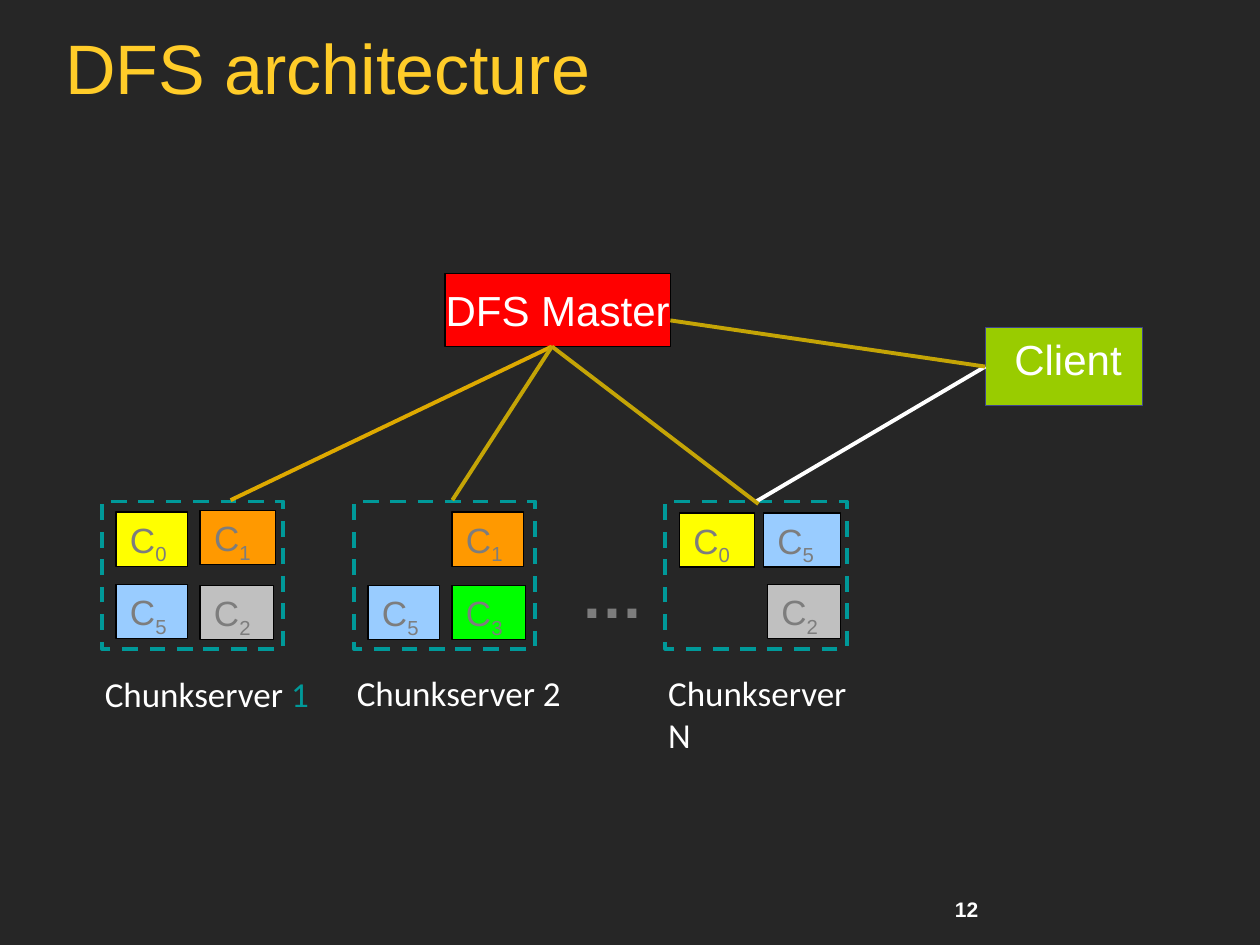
import pptx
import pptx.util
import pptx.dml.color
import pptx.enum.dml
import pptx.enum.shapes
import pptx.enum.text
import lxml.etree
import pptx.oxml.ns

Pt = pptx.util.Pt
ANCHOR = pptx.enum.text.MSO_ANCHOR
ALIGN = pptx.enum.text.PP_ALIGN

GOLD, AMBER, WHITE, GREY, TEAL = "C4A406", "DEA900", "FFFFFF", "7D7D7D", "009999"
CHUNK_COLORS = {0: "FFFF00", 1: "FF9900", 2: "C0C0C0", 3: "00FF00", 5: "99CCFF"}
SERVER_WIDTH, SERVER_HEIGHT, SERVER_TOP = 103.7, 84.2, 286.6
CHUNK_HEIGHT = 31

# Left edge, caption offset, caption runs, chunks as (number, x, y, width)
SERVERS = [
    (58.3, 90.7, [("Chunkserver", WHITE), (" 1", TEAL)],
     [(0, 8, 6, 41), (1, 56, 5, 43), (5, 8, 47.5, 41), (2, 56, 48, 42)]),
    (202.3, 90, [("Chunkserver 2", WHITE)],
     [(1, 56, 6, 41), (5, 8, 48, 41), (3, 56, 48, 42)]),
    (380.2, 90, [("Chunkserver N", WHITE)],
     [(0, 8, 6.5, 43), (5, 56, 6.5, 44), (2, 58.3, 47.5, 42)]),
]


def color(hex_string):
    return pptx.dml.color.RGBColor.from_string(hex_string)


def set_frame(shape, insets, anchor=ANCHOR.TOP, wrap=False):
    frame = shape.text_frame
    frame.word_wrap = wrap
    frame.vertical_anchor = anchor
    frame.margin_left, frame.margin_top, frame.margin_right, frame.margin_bottom = map(Pt, insets)
    paragraph = frame.paragraphs[0]
    paragraph.alignment = ALIGN.LEFT
    return paragraph


def add_run(paragraph, text, size, hex_string, font="Arial", bold=False):
    run = paragraph.add_run()
    run.text = text
    run.font.size = Pt(size)
    run.font.name = font
    run.font.bold = bold
    run.font.color.rgb = color(hex_string)
    return run


def add_box(slide, left, top, width, height, fill, line, line_width=0.75):
    shape = slide.shapes.add_shape(pptx.enum.shapes.MSO_SHAPE.RECTANGLE,
                                   Pt(left), Pt(top), Pt(width), Pt(height))
    shape.shadow.inherit = False
    if fill:
        shape.fill.solid()
        shape.fill.fore_color.rgb = color(fill)
    else:
        shape.fill.background()
    shape.line.color.rgb = color(line)
    shape.line.width = Pt(line_width)
    return shape


def add_label(slide, left, top, width, height, insets):
    label = slide.shapes.add_textbox(Pt(left), Pt(top), Pt(width), Pt(height))
    return set_frame(label, insets)


def add_link(slide, start, end, hex_string):
    connector = slide.shapes.add_connector(pptx.enum.shapes.MSO_CONNECTOR.STRAIGHT,
                                           *map(Pt, start + end))
    connector.line.color.rgb = color(hex_string)
    connector.line.width = Pt(2.25)
    lxml.etree.SubElement(connector._element.spPr, pptx.oxml.ns.qn("a:effectLst"))
    return connector


def add_title(slide, left, top, width, height):
    title = slide.shapes.title
    title.left, title.top, title.width, title.height = map(Pt, (left, top, width, height))
    paragraph = set_frame(title, (7.2, 3.6, 7.2, 3.6), wrap=True)
    paragraph.line_spacing = 0.9
    add_run(paragraph, "DFS architecture", 40, "FFCC29")


def add_master(slide, left, top, width, height):
    master = add_box(slide, left, top, width, height, "FF0000", "000000")
    paragraph = set_frame(master, (0, 0, 0, 0), ANCHOR.MIDDLE)
    paragraph.alignment = ALIGN.CENTER
    add_run(paragraph, "DFS Master", 24, WHITE)


def add_client(slide, left, top, width, height):
    client = add_box(slide, left, top, width, height, "99CC00", "3F448C")
    paragraph = set_frame(client, (16.6, 10.8, 0, 0))
    paragraph.line_spacing = Pt(21.6)
    add_run(paragraph, "Client", 24, WHITE)
    return client


def add_chunk(slide, number, left, top, width):
    chunk = add_box(slide, left, top, width, CHUNK_HEIGHT, CHUNK_COLORS[number], "000000")
    paragraph = set_frame(chunk, (8, 3.6, 0, 0))
    add_run(paragraph, "C", 20, GREY)
    subscript = add_run(paragraph, str(number), 20, GREY)
    subscript.font._element.set("baseline", "-25000")


def add_server(slide, left, top, caption_offset, caption, chunks):
    for number, x, y, width in chunks:
        add_chunk(slide, number, left + x, top + y, width)
    server = add_box(slide, left, top, SERVER_WIDTH, SERVER_HEIGHT, None, TEAL, 2.25)
    server.line.dash_style = pptx.enum.dml.MSO_LINE.DASH
    paragraph = add_label(slide, left - 2, top + caption_offset, 125, 38, (3.6, 7.2, 3.6, 7.2))
    for text, hex_string in caption:
        add_run(paragraph, text, 20, hex_string, "Calibri")
    return server


def main():
    presentation = pptx.Presentation()
    presentation.slide_width, presentation.slide_height = Pt(720), Pt(540)
    slide = presentation.slides.add_slide(presentation.slide_layouts[5])
    slide.background.fill.solid()
    slide.background.fill.fore_color.rgb = color("262626")

    add_title(slide, 30.2, 15.8, 661, 55.4)

    # Master, client and chunkservers
    add_master(slide, 254.2, 156.2, 128.9, 41.8)
    client = add_client(slide, 563, 187.2, 90, 44.6)
    servers = [add_server(slide, left, SERVER_TOP, *details) for left, *details in SERVERS]
    ellipsis = add_label(slide, 324.7, 313.9, 50.4, 50.4, (7.2, 3.6, 7.2, 3.6))
    add_run(ellipsis, "…", 36, GREY, bold=True)

    # Data link between client and last chunkserver
    data_link = add_link(slide, (563, 209.5), (432, 286.6), WHITE)
    data_link.begin_connect(client, 1)
    data_link.end_connect(servers[-1], 0)

    # Control links from the master
    add_link(slide, (371.5, 181.4), (563, 209.5), GOLD).end_connect(client, 1)
    slide.shapes[-1].begin_x, slide.shapes[-1].begin_y = Pt(383.1), Pt(183.1)
    for end, hex_string in [((131.8, 285.8), AMBER), ((258.5, 285.8), GOLD), ((433.4, 288), GOLD)]:
        add_link(slide, (315.4, 198), end, hex_string)

    # Slide number
    number = add_label(slide, 538.6, 509, 41, 21.6, (7.2, 3.6, 7.2, 3.6))
    add_run(number, "12", 12, WHITE, bold=True)

    presentation.save("out.pptx")


if __name__ == "__main__":
    main()
